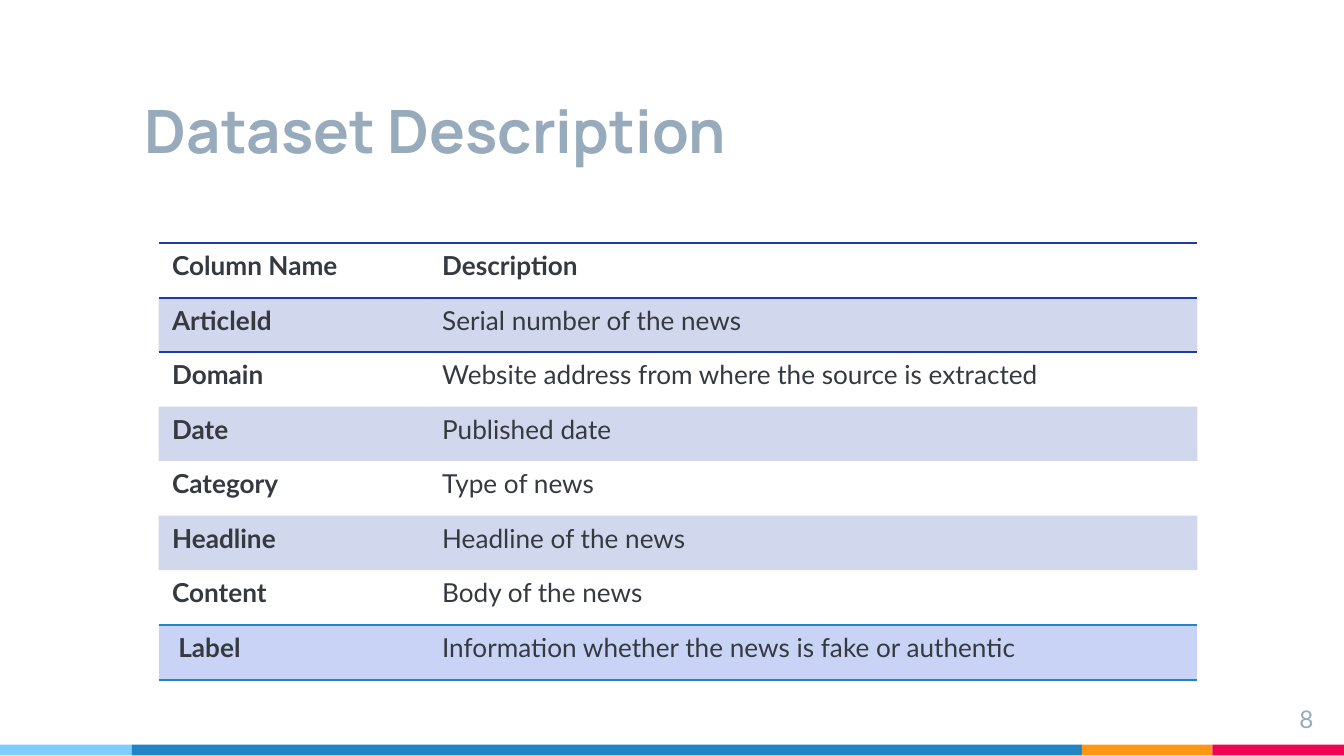
from lxml import etree
from pptx import Presentation
from pptx import util as u
from pptx.dml.color import RGBColor
from pptx.enum import shapes, text
from pptx.oxml import parse_xml
from pptx.oxml.ns import nsdecls, qn

HUES = {
    "sky": "7ECEFD", "blue": "2185C5", "amber": "FF9715", "red": "F20253",
    "slate": "97ABBC", "ink": "343A40", "navy": "1C3AA9", "pale": "C9D3F6",
}
BARS = [("sky", 0.98), ("blue", 7.07), ("amber", 0.97), ("red", 0.98)]
ROWS = [
    ("Column Name", "Description"),
    ("ArticleId", "Serial number of the news"),
    ("Domain", "Website address from where the source is extracted"),
    ("Date", "Published date"),
    ("Category", "Type of news"),
    ("Headline", "Headline of the news"),
    ("Content", "Body of the news"),
]
LAST = [(" Label", "Information whether the news is fake or authentic")]
COLS = (2.01, 5.72)
NO_STYLE = "{2D5ABB26-0587-4C30-8999-92F81FD0307C}"


class Deck:
    """Draws styled elements on the current slide."""

    def __init__(self, slide):
        self.slide = slide

    def font(self, para, hue, size, name="Lato", bold=False):
        """Style one paragraph."""
        font = para.font
        font.name, font.size, font.bold = name, u.Pt(size), bold
        font.color.rgb = RGBColor.from_string(HUES[hue])

    def bar(self, left, top, width, height, hue):
        """Add a plain filled rectangle."""
        box = [u.Inches(n) for n in (left, top, width, height)]
        shape = self.slide.shapes.add_shape(shapes.MSO_SHAPE.RECTANGLE, *box)
        shape.shadow.inherit = False
        shape.fill.solid()
        shape.fill.fore_color.rgb = RGBColor.from_string(HUES[hue])
        shape.line.fill.background()

    def label(self, words, left, top, width, height, align, anchor, **style):
        """Add a text box with one paragraph."""
        box = [u.Inches(n) for n in (left, top, width, height)]
        frame = self.slide.shapes.add_textbox(*box).text_frame
        frame.word_wrap = True
        frame.vertical_anchor = anchor
        frame.margin_left = frame.margin_right = u.Inches(0.1)
        frame.margin_top = frame.margin_bottom = u.Inches(0.1)
        para = frame.paragraphs[0]
        para.text, para.alignment = words, align
        self.font(para, **style)

    def edge(self, cell, sides, hue):
        """Draw one-point lines on the given cell sides, top before bottom."""
        props = cell._tc.get_or_add_tcPr()
        for spot, side in enumerate(sides):
            props.insert(spot, parse_xml(
                f'<a:ln{side} {nsdecls("a")} w="{u.Pt(1)}"><a:solidFill>'
                f'<a:srgbClr val="{HUES[hue]}"/></a:solidFill></a:ln{side}>'))

    def fill(self, cell, hue, alpha=100):
        """Fill a cell, with opacity in percent."""
        cell.fill.solid()
        cell.fill.fore_color.rgb = RGBColor.from_string(HUES[hue])
        if alpha < 100:
            tint = cell._tc.tcPr.find(".//" + qn("a:srgbClr"))
            etree.SubElement(tint, qn("a:alpha"), val=str(alpha * 1000))

    def table(self, rows, left, top, height):
        """Add an unstyled table with a bold first column."""
        box = [u.Inches(n) for n in (left, top, sum(COLS), height)]
        grid = self.slide.shapes.add_table(len(rows), len(COLS), *box).table
        grid.first_row = grid.horz_banding = False
        grid._tbl.tblPr.find(qn("a:tableStyleId")).text = NO_STYLE
        for col, width in zip(grid.columns, COLS):
            col.width = u.Inches(width)
        for r, row in enumerate(rows):
            for c, words in enumerate(row):
                cell = grid.cell(r, c)
                cell.text = words
                cell.fill.background()
                head = c == 0 or words == "Description"
                self.font(cell.text_frame.paragraphs[0], "ink", 14, bold=head)
        return grid


def main():
    prs = Presentation()
    prs.slide_width = u.Inches(10)
    prs.slide_height = prs.slide_width * 9 // 16
    deck = Deck(prs.slides.add_slide(prs.slide_layouts[6]))

    left = 0
    for hue, width in BARS:
        deck.bar(left, 5.54, width, 0.08, hue)
        left += width

    deck.label("Dataset Description", 0.98, 0.39, 7.07, 0.94,
               text.PP_ALIGN.LEFT, text.MSO_ANCHOR.BOTTOM,
               hue="slate", size=32, name="Manrope", bold=True)
    deck.label("8", 9.27, 5.14, 0.6, 0.34,
               text.PP_ALIGN.RIGHT, text.MSO_ANCHOR.TOP, hue="slate", size=13)

    grid = deck.table(ROWS, 1.18, 1.81, 2.84)
    for c in range(len(COLS)):
        for r in range(1, len(ROWS), 2):
            deck.fill(grid.cell(r, c), "navy", 20)
        deck.edge(grid.cell(0, c), "TB", "navy")
        deck.edge(grid.cell(1, c), "T", "navy")
        deck.edge(grid.cell(len(ROWS) - 1, c), "B", "navy")

    grid = deck.table(LAST, 1.18, 4.65, 0.41)
    for c in range(len(COLS)):
        deck.fill(grid.cell(0, c), "pale")
        deck.edge(grid.cell(0, c), "TB", "blue")

    prs.save("out.pptx")


if __name__ == "__main__":
    main()
